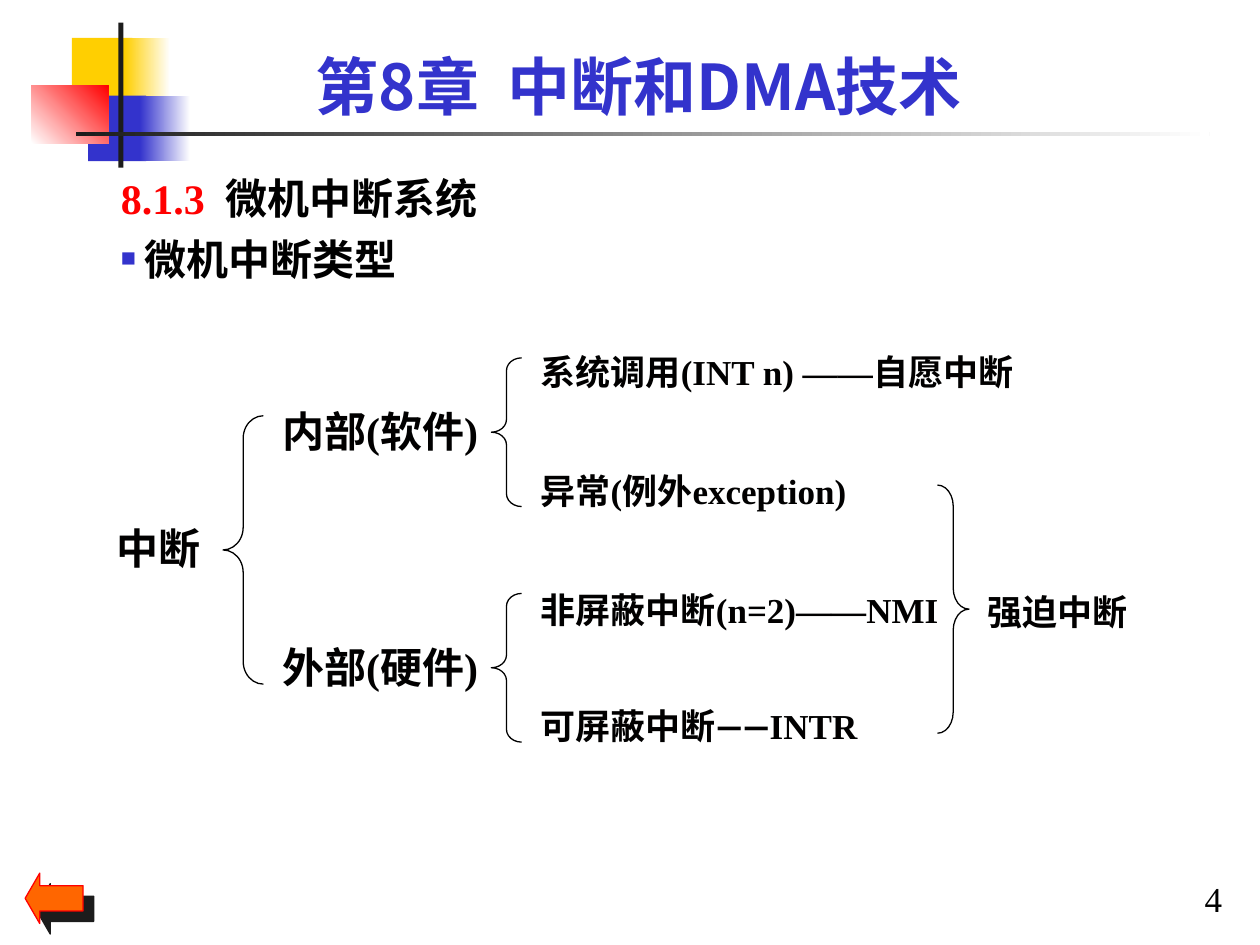
from lxml.etree import SubElement
from pptx import Presentation
from pptx.dml.color import RGBColor
from pptx.enum.shapes import MSO_SHAPE as SHAPE
from pptx.enum.text import MSO_ANCHOR as ANCHOR, PP_ALIGN as ALIGN
from pptx.oxml.ns import qn
from pptx.util import Inches, Pt

COLORS = {
    "yellow": "FFCF01", "blue": "3333CC", "red": "FF0000", "white": "FFFFFF",
    "dark": "1C1C1C", "orange": "FF6600", "black": "000000", "ink": "010000",
}
SERIF, SANS, CJK = "Times New Roman", "Karla", "Noto Sans CJK SC"


class Deck:
    """Style and current slide, with one method per kind of element."""

    def __init__(self, prs):
        self.s = prs.slides.add_slide(prs.slide_layouts[6])

    def color(self, name):
        return RGBColor.from_string(COLORS[name])

    def shape(self, kind, box, line=None):
        sp = self.s.shapes.add_shape(kind, *map(Inches, box))
        sp.shadow.inherit = False
        if line:
            sp.line.color.rgb = self.color(line)
            sp.line.width = Pt(0.75)
        else:
            sp.line.fill.background()
        return sp

    def block(self, box, start, end=None, angle=0):
        fill = self.shape(SHAPE.RECTANGLE, box).fill
        if end is None:
            fill.solid()
            fill.fore_color.rgb = self.color(start)
            return
        fill.gradient()
        fill.gradient_angle = angle
        for stop, name, pos in zip(fill.gradient_stops, (start, end), (0, 1)):
            stop.color.rgb = self.color(name)
            stop.position = pos

    def brace(self, kind, box, curve):
        sp = self.shape(kind, box, "black")
        sp.fill.background()
        sp.adjustments[0] = curve

    def back_arrow(self, box):
        sp = self.shape(SHAPE.LEFT_ARROW, box, "red")
        sp.adjustments[0], sp.adjustments[1] = 0.5, 0.29
        sp.fill.solid()
        sp.fill.fore_color.rgb = self.color("orange")
        effects = sp._element.spPr.find(qn("a:effectLst"))
        shadow = SubElement(effects, qn("a:outerShdw"), blurRad="0",
                            dist=str(Pt(8.5)), dir="2700000", algn="ctr", rotWithShape="0")
        SubElement(shadow, qn("a:srgbClr"), val=COLORS["dark"])

    def text(self, box, paragraphs, size, bold=True, align=ALIGN.LEFT,
             spacing=1.15, anchor=ANCHOR.MIDDLE, wrap=True, asian=SANS):
        tf = self.s.shapes.add_textbox(*map(Inches, box)).text_frame
        tf.word_wrap = wrap
        tf.vertical_anchor = anchor
        tf.margin_left = tf.margin_right = tf.margin_top = tf.margin_bottom = 0
        for i, runs in enumerate(paragraphs):
            p = tf.add_paragraph() if i else tf.paragraphs[0]
            p.alignment = align
            p.line_spacing = spacing
            for words, color, font in runs:
                r = p.add_run()
                r.text = words
                r.font.size = Pt(size)
                r.font.bold = bold
                r.font.name = font
                r.font.color.rgb = self.color(color)
                SubElement(r.font._element, qn("a:ea"), typeface=asian)
        return tf

    def label(self, box, words, size, font=SERIF, tail=None, align=ALIGN.LEFT):
        runs = [(words, "ink", font)]
        if tail:
            runs.append((tail, "ink", SANS))
        self.text(box, [runs], size, align=align)

    def bullet(self, p, indent):
        pPr = p._p.get_or_add_pPr()
        pPr.set("marL", str(Inches(indent)))
        pPr.set("indent", str(-Inches(indent)))
        SubElement(SubElement(pPr, qn("a:buClr")), qn("a:srgbClr"), val=COLORS["blue"])
        SubElement(pPr, qn("a:buSzPct"), val="60000")
        SubElement(pPr, qn("a:buFont"), typeface=SERIF)
        SubElement(pPr, qn("a:buChar"), char="■")


def main():
    prs = Presentation()
    prs.slide_width, prs.slide_height = Inches(10), Inches(7.5)
    deck = Deck(prs)

    deck.block((0.57, 0.3, 0.48, 0.52), "yellow")
    deck.block((0.99, 0.3, 0.36, 0.52), "yellow", "white")
    deck.block((0.7, 0.76, 0.46, 0.52), "blue")
    deck.block((1.11, 0.76, 0.4, 0.52), "blue", "white")
    deck.block((0.25, 0.68, 0.61, 0.46), "white", "red", 45)
    deck.block((0.94, 0.18, 0.04, 1.15), "dark")
    deck.block((0.6, 1.05, 9, 0.03), "dark", "white")

    deck.text((1.38, 0.38, 7.38, 0.6), [[("第8章  中断和DMA技术", "blue", CJK)]], 36,
              align=ALIGN.CENTER, spacing=1.0, asian=CJK)
    tf = deck.text((0.96, 1.29, 8.47, 0.99), [
        [("8.1.3  ", "red", SERIF), ("微机中断系统", "black", SERIF)],
        [("微机中断类型", "black", SERIF)],
    ], 24, spacing=1.2, anchor=ANCHOR.TOP)
    deck.bullet(tf.paragraphs[1], 0.19)

    deck.label((0.67, 4.09, 1.17, 0.46), "中断", 24, align=ALIGN.CENTER)
    deck.brace(SHAPE.LEFT_BRACE, (1.77, 3.3, 0.32, 2.13), 0.56)
    for words, top in (("内部(软件)", 2.93), ("外部(硬件)", 4.8)):
        deck.label((2.24, top, 1.73, 0.92), words, 24)
        deck.brace(SHAPE.LEFT_BRACE, (3.9, top - 0.09, 0.24, 1.18), 0.42)

    for words, top, width, height, tail in (
        ("系统调用(INT n) ——", 2.73, 4.17, 0.38, "自愿中断"),
        ("异常(例外exception)", 3.48, 2.52, 0.77, None),
        ("非屏蔽中断(n=2)——NMI", 4.62, 3.23, 0.38, None),
        ("可屏蔽中断——INTR", 5.54, 3.23, 0.38, None),
    ):
        deck.label((4.29, top, width, height), words, 20, tail=tail)
    deck.brace(SHAPE.RIGHT_BRACE, (7.44, 3.85, 0.25, 1.97), 0.67)
    deck.label((7.84, 4.64, 1.34, 0.38), "强迫中断", 20, SANS)

    deck.back_arrow((0.2, 6.93, 0.46, 0.4))
    deck.text((9.43, 6.96, 0.4, 0.34), [[("4", "black", SERIF)]], 20, bold=False,
              align=ALIGN.CENTER, spacing=1.0, wrap=False)
    prs.save("out.pptx")


if __name__ == "__main__":
    main()
